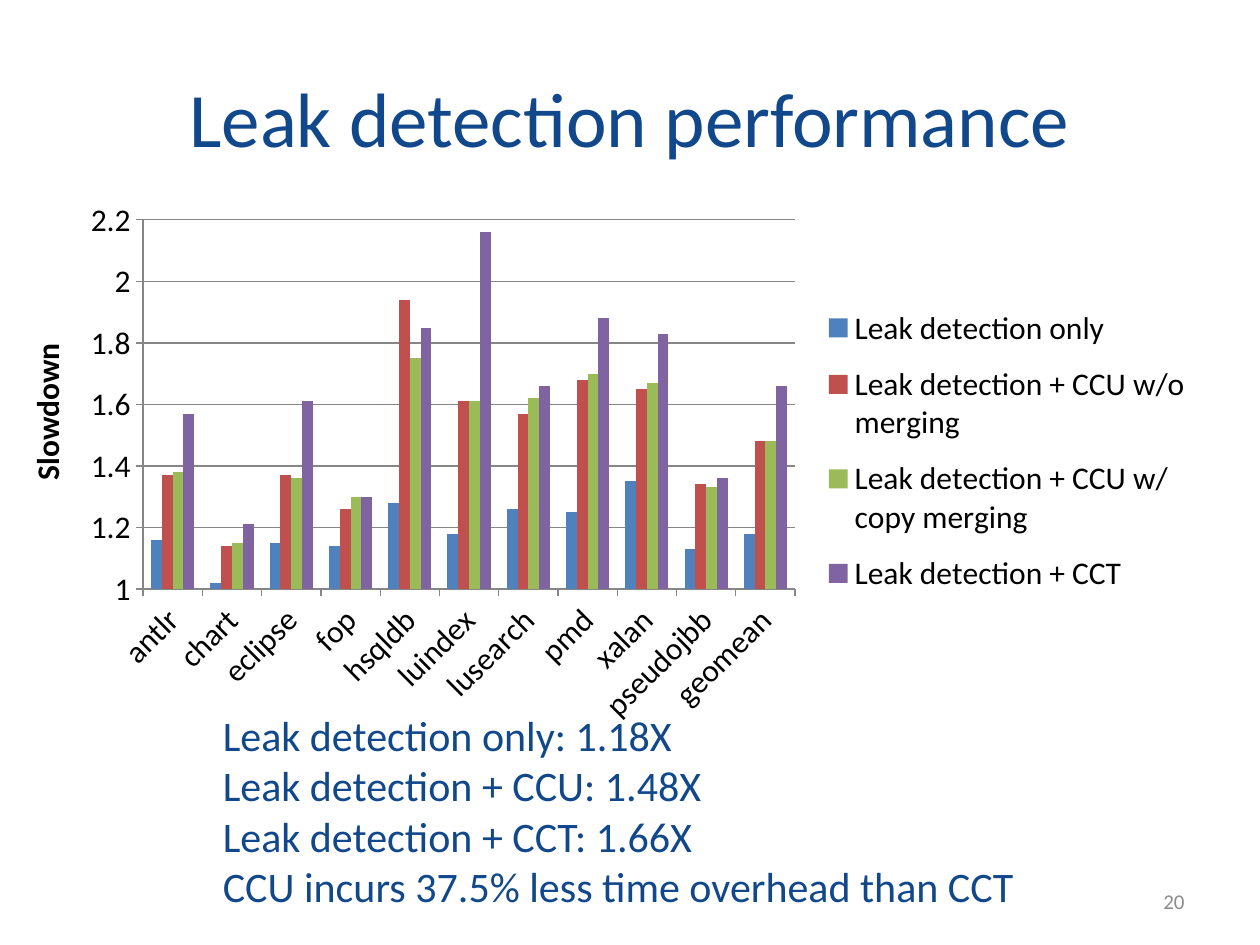
from lxml import etree
from pptx import Presentation
from pptx import util as u
from pptx.chart import data as cd
from pptx.dml import color as col
from pptx.enum import chart as ch, text as tx
from pptx.oxml import ns

NAVY, GREY, BLACK = "11478B", "868686", "000000"
NAMES = ["antlr", "chart", "eclipse", "fop", "hsqldb", "luindex",
         "lusearch", "pmd", "xalan", "pseudojbb", "geomean"]
SERIES = [
    ("Leak detection only", "4F81BD",
     [1.16, 1.02, 1.15, 1.14, 1.28, 1.18, 1.26, 1.25, 1.35, 1.13, 1.18]),
    ("Leak detection + CCU w/o merging", "C0504D",
     [1.37, 1.14, 1.37, 1.26, 1.94, 1.61, 1.57, 1.68, 1.65, 1.34, 1.48]),
    ("Leak detection + CCU w/ copy merging", "9BBB59",
     [1.38, 1.15, 1.36, 1.3, 1.75, 1.61, 1.62, 1.7, 1.67, 1.33, 1.48]),
    ("Leak detection + CCT", "8064A2",
     [1.57, 1.21, 1.61, 1.3, 1.85, 2.16, 1.66, 1.88, 1.83, 1.36, 1.66]),
]
NOTES = ["Leak detection only: 1.18X", "Leak detection + CCU: 1.48X",
         "Leak detection + CCT: 1.66X",
         "CCU incurs 37.5% less time overhead than CCT"]


def rgb(code):
    """Turn a hex string into a colour."""
    return col.RGBColor.from_string(code)


def style(font, size, code, bold=False):
    """Set the face, size, colour and weight of a font."""
    font.name, font.size, font.bold = "Calibri", u.Pt(size), bold
    font.color.rgb = rgb(code)


def place(shape, box):
    """Move a shape to a box given in inches."""
    shape.left, shape.top, shape.width, shape.height = map(u.Inches, box)


def write(shape, lines, size, code, align, anchor, bold=False):
    """Fill a shape with one paragraph for each line."""
    frame = shape.text_frame
    frame.text = "\n".join(lines)
    frame.word_wrap = True
    frame.vertical_anchor = anchor
    for para in frame.paragraphs:
        para.alignment = align
        for run in para.runs:
            style(run.font, size, code, bold)


def label(slide, box, lines, size, code, align=tx.PP_ALIGN.LEFT,
          anchor=tx.MSO_ANCHOR.TOP, bold=False):
    """Add a text box."""
    shape = slide.shapes.add_textbox(*map(u.Inches, box))
    write(shape, lines, size, code, align, anchor, bold)
    return shape


def title(slide, box, words):
    """Place the slide title."""
    shape = slide.shapes.title
    place(shape, box)
    write(shape, [words], 44, NAVY, tx.PP_ALIGN.CENTER, tx.MSO_ANCHOR.MIDDLE)


def layout(node, box, inner=False):
    """Fix a chart part at a box given in fractions of the chart."""
    for old in node.findall(ns.qn("c:layout")):
        node.remove(old)
    lay = etree.Element(ns.qn("c:layout"))
    man = etree.SubElement(lay, ns.qn("c:manualLayout"))
    parts = [("layoutTarget", "inner")] if inner else []
    parts += [("xMode", "edge"), ("yMode", "edge"), *zip("xywh", box)]
    for tag, val in parts:
        etree.SubElement(man, ns.qn("c:" + tag)).set("val", str(val))
    spot = node.find(ns.qn("c:legendPos"))
    node.insert(0 if spot is None else node.index(spot) + 1, lay)


def axes(chart):
    """Scale and style both axes."""
    cat, val = chart.category_axis, chart.value_axis
    val.minimum_scale, val.maximum_scale, val.major_unit = 1, 2.2, 0.2
    val.has_major_gridlines = True
    val.tick_labels.number_format = "General"
    val.tick_labels.number_format_is_linked = False
    for line in (cat.format.line, val.format.line, val.major_gridlines.format.line):
        line.color.rgb = rgb(GREY)
        line.width = u.Pt(0.75)
    for axis in (cat, val):
        axis.major_tick_mark = ch.XL_TICK_MARK.OUTSIDE
        style(axis.tick_labels.font, 18, BLACK)
    body = cat._element.find(ns.qn("c:txPr")).find(ns.qn("a:bodyPr"))
    body.set("rot", "-2700000")
    body.set("vert", "horz")


def graph(slide, box):
    """Draw the clustered columns with a legend on the right."""
    data = cd.CategoryChartData()
    data.categories = NAMES
    for name, _, vals in SERIES:
        data.add_series(name, vals)
    chart = slide.shapes.add_chart(
        ch.XL_CHART_TYPE.COLUMN_CLUSTERED, *map(u.Inches, box), data).chart
    style(chart.font, 18, BLACK)
    chart.has_title = False
    plot = chart.plots[0]
    plot.gap_width, plot.overlap, plot.vary_by_categories = 150, 0, False
    for bars, (_, code, _) in zip(plot.series, SERIES):
        bars.format.fill.solid()
        bars.format.fill.fore_color.rgb = rgb(code)
    axes(chart)
    chart.has_legend = True
    key = chart.legend
    key.position, key.include_in_layout = ch.XL_LEGEND_POSITION.RIGHT, False
    style(key.font, 18, BLACK)
    layout(key._element, (0.66, 0.18, 0.33, 0.59))
    area = chart._chartSpace.find(ns.qn("c:chart")).find(ns.qn("c:plotArea"))
    layout(area, (0.07, 0.05, 0.57, 0.68), inner=True)


def main():
    """Build and save the slide."""
    deck = Presentation()
    deck.slide_width, deck.slide_height = u.Inches(10), u.Inches(7.5)
    slide = deck.slides.add_slide(deck.slide_layouts[5])
    title(slide, (0.5, 0.3, 9, 1.25), "Leak detection performance")
    label(slide, (1.67, 5.58, 6.67, 1.72), NOTES, 24, NAVY)
    graph(slide, (0.5, 1.53, 9.08, 4.31))
    side = label(slide, (0.17, 2.33, 0.5, 1.58), ["Slowdown"], 18, BLACK, bold=True)
    side.text_frame._txBody.bodyPr.set("vert", "vert270")
    label(slide, (7.17, 6.95, 2.33, 0.4), ["20"], 12, "8C8C8C",
          tx.PP_ALIGN.RIGHT, tx.MSO_ANCHOR.MIDDLE)
    deck.save("out.pptx")


if __name__ == "__main__":
    main()
